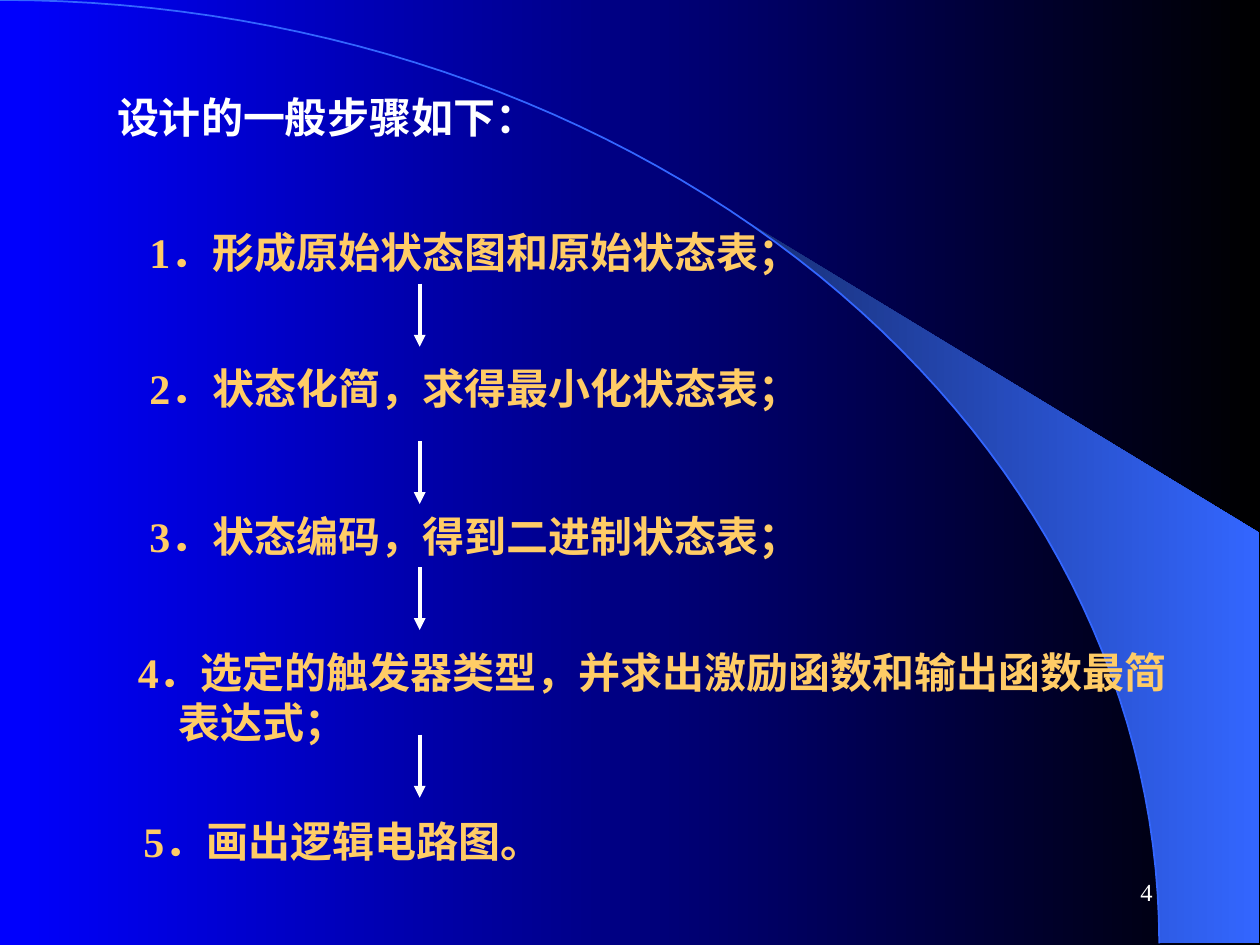
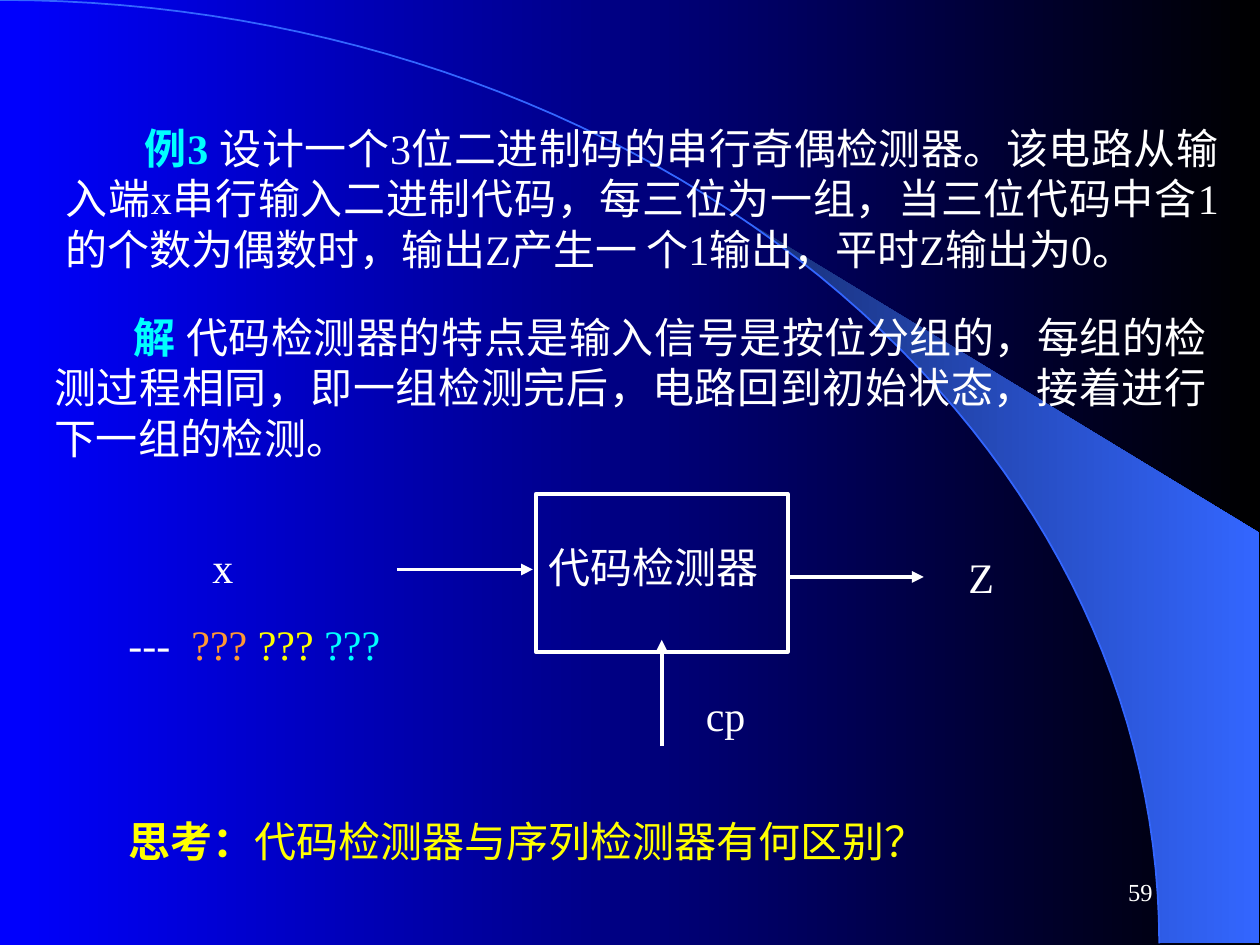
"""Build two lecture slides on the design of sequential logic circuits."""
from dataclasses import dataclass
from math import asin, cos, pi, sin
from typing import NamedTuple

from lxml.etree import SubElement
from pptx import Presentation
from pptx.dml.color import RGBColor
from pptx.dml.fill import FillFormat
from pptx.enum.shapes import MSO_CONNECTOR, MSO_SHAPE
from pptx.enum.text import MSO_ANCHOR, MSO_AUTO_SIZE, PP_ALIGN
from pptx.oxml.ns import qn
from pptx.shapes.freeform import FreeformBuilder
from pptx.slide import Slide
from pptx.text.text import _Paragraph as Paragraph
from pptx.util import Cm, Pt


@dataclass(frozen=True)
class Theme:
    font: str = "Times New Roman"
    body_size: float = 24
    number_size: float = 14
    paragraph_gap: float = 15
    rule_width: float = 2.25
    arc_width: float = 1
    white: str = "FFFFFF"
    black: str = "000000"
    blue: str = "0000FF"
    navy: str = "182F76"
    azure: str = "3366FF"
    gold: str = "FFCC66"
    cyan: str = "00FFFF"
    yellow: str = "FFFF00"
    orange: str = "FF9933"


THEME = Theme()
WIDTH, HEIGHT = 25.4, 19.05
ARC_WIDTH, ARC_HEIGHT = 23.37, 19.02
WEDGE_RIGHT, WEDGE_TOP, WEDGE_LEFT = 25.38, 10.74, 14.96
ARC_STEPS = 60
LINE_HEIGHT = 1.27
STEP_INDENT = 1.69
ARROW_LEFT, ARROW_LENGTH = 8.46, 1.27


class Box(NamedTuple):
    left: float
    top: float
    width: float
    height: float = LINE_HEIGHT


class Span(NamedTuple):
    text: str
    color: str = THEME.white
    bold: bool = False
    size: float = THEME.body_size


class Step(NamedTuple):
    text: str
    box: Box
    first: float = STEP_INDENT
    hanging: float = 0
    wrap: bool = True


class Arrow(NamedTuple):
    x1: float
    y1: float
    x2: float
    y2: float


STEPS = (
    Step("1．形成原始状态图和原始状态表；", Box(1.07, 4.45, 19.48)),
    Step("2．状态化简，求得最小化状态表；", Box(1.07, 7.19, 19.05)),
    Step("3．状态编码，得到二进制状态表；", Box(1.07, 10.16, 16.33)),
    Step("4．选定的触发器类型，并求出激励函数和输出函数最简表达式；",
         Box(0.84, 12.9, 23.75, 2.29), hanging=2.5),
    Step("5．画出逻辑电路图。", Box(2.64, 16.31, 8.74), first=0, wrap=False),
)
STEP_ARROW_TOPS = (5.72, 8.89, 11.43, 14.81)

DETECTOR = Box(10.8, 9.96, 5.08, 3.18)
SIGNAL_ARROWS = (
    Arrow(8, 11.48, 10.74, 11.48),
    Arrow(15.88, 11.63, 18.62, 11.63),
    Arrow(13.34, 15.04, 13.34, 12.9),
)


def rgb(color: str) -> RGBColor:
    return RGBColor.from_string(color)


def shade(fill: FillFormat, start: str, end: str) -> None:
    fill.gradient()
    fill.gradient_angle = 0
    for stop, color in zip(fill.gradient_stops, (start, end)):
        stop.color.rgb = rgb(color)


def arc_points(start: float) -> list[tuple[int, int]]:
    angles = [start + (pi / 2 - start) * i / ARC_STEPS for i in range(ARC_STEPS + 1)]
    return [(Cm(ARC_WIDTH * sin(a)), Cm(ARC_HEIGHT * (1 - cos(a)))) for a in angles]


def trace(page: Slide, points: list[tuple[int, int]], close: bool) -> FreeformBuilder:
    builder = page.shapes.build_freeform(*points[0], scale=1.0)
    builder.add_line_segments(points[1:], close=close)
    return builder


def draw_backdrop(page: Slide) -> None:
    edge = arc_points(asin(WEDGE_LEFT / ARC_WIDTH))
    corners = [(Cm(WEDGE_RIGHT), Cm(y)) for y in (ARC_HEIGHT, WEDGE_TOP)]
    wedge = trace(page, edge + corners, True).convert_to_shape()
    wedge.shadow.inherit = False
    shade(wedge.fill, THEME.navy, THEME.azure)
    wedge.line.fill.background()

    arc = trace(page, arc_points(0), False).convert_to_shape()
    arc.shadow.inherit = False
    arc.fill.background()
    arc.line.color.rgb = rgb(THEME.azure)
    arc.line.width = Pt(THEME.arc_width)


def write_span(para: Paragraph, text: str, *, color: str, bold: bool, size: float) -> None:
    run = para.add_run()
    run.text = text
    run.font.name = THEME.font
    run.font.size = Pt(size)
    run.font.bold = bold
    run.font.color.rgb = rgb(color)


def add_text(page: Slide, box: Box, *lines: list[Span], first: tuple[float, ...] = (0,),
             hanging: float = 0, align: PP_ALIGN = PP_ALIGN.LEFT, wrap: bool = True,
             grow: bool = True, anchor: MSO_ANCHOR = MSO_ANCHOR.TOP, tab: float = 0) -> None:
    frame = page.shapes.add_textbox(*map(Cm, box)).text_frame
    frame.word_wrap = wrap
    frame.auto_size = MSO_AUTO_SIZE.SHAPE_TO_FIT_TEXT if grow else MSO_AUTO_SIZE.NONE
    frame.vertical_anchor = anchor
    for index, (spans, start) in enumerate(zip(lines, first)):
        para = frame.add_paragraph() if index else frame.paragraphs[0]
        para.alignment = align
        if index:
            para.space_before = Pt(THEME.paragraph_gap)
        properties = para._p.get_or_add_pPr()
        properties.set("marL", str(Cm(hanging)))
        properties.set("indent", str(Cm(start - hanging)))
        if tab:
            stops = SubElement(properties, qn("a:tabLst"))
            SubElement(stops, qn("a:tab"), pos=str(Cm(tab)), algn="l")
        for span in spans:
            write_span(para, span.text, color=span.color, bold=span.bold, size=span.size)


def add_arrow(page: Slide, arrow: Arrow) -> None:
    connector = page.shapes.add_connector(MSO_CONNECTOR.STRAIGHT, *map(Cm, arrow))
    connector.line.color.rgb = rgb(THEME.white)
    connector.line.width = Pt(THEME.rule_width)
    SubElement(connector.line._get_or_add_ln(), qn("a:tailEnd"), type="triangle")
    SubElement(connector._element.spPr, qn("a:effectLst"))


def add_page(deck: Presentation, number: str) -> Slide:
    page = deck.slides.add_slide(deck.slide_layouts[6])
    shade(page.background.fill, THEME.blue, THEME.black)
    draw_backdrop(page)
    add_text(page, Box(18.21, 17.35, 5.28), [Span(number, size=THEME.number_size)],
             align=PP_ALIGN.RIGHT, grow=False, anchor=MSO_ANCHOR.MIDDLE)
    return page


def build_steps(deck: Presentation) -> None:
    page = add_page(deck, "4")
    add_text(page, Box(2.11, 1.73, 8.97), [Span("设计的一般步骤如下：", bold=True)], wrap=False)
    for step in STEPS:
        add_text(page, step.box, [Span(step.text, THEME.gold, True)],
                 first=(step.first,), hanging=step.hanging, wrap=step.wrap)
    for top in STEP_ARROW_TOPS:
        add_arrow(page, Arrow(ARROW_LEFT, top, ARROW_LEFT, top + ARROW_LENGTH))


def build_example(deck: Presentation) -> None:
    page = add_page(deck, "59")
    example = [
        Span("例3 ", THEME.cyan, True),
        Span("设计一个3位二进制码的串行奇偶检测器。该电路从输入端x串行输入二进制代码，"
             "每三位为一组，当三位代码中含1的个数为偶数时，输出Z产生一 个1输出，平时Z输出为0。"),
    ]
    solution = [
        Span("解 ", THEME.cyan, True),
        Span("代码检测器的特点是输入信号是按位分组的，每组的检测过程相同，"
             "即一组检测完后，电路回到初始状态，接着进行下一组的检测。"),
    ]
    for spans, box in ((example, Box(1.07, 2.34, 23.75, 4.32)),
                       (solution, Box(0.84, 6.15, 23.75, 3.3))):
        add_text(page, box, spans, first=(1.6,), align=PP_ALIGN.JUSTIFY)

    detector = page.shapes.add_shape(MSO_SHAPE.RECTANGLE, *map(Cm, DETECTOR))
    detector.shadow.inherit = False
    detector.fill.background()
    detector.line.color.rgb = rgb(THEME.white)
    detector.line.width = Pt(THEME.rule_width)
    for arrow in SIGNAL_ARROWS:
        add_arrow(page, arrow)

    bits = [Span("---\t"), Span("??? ", THEME.orange), Span("??? ", THEME.yellow),
            Span("???", THEME.cyan)]
    add_text(page, Box(2.34, 10.8, 5.72, 2.82), [Span("x")], bits,
             first=(STEP_INDENT, 0), tab=1.27)
    for label, box, indent in (("Z", Box(18.85, 11, 1.7), 0.42),
                               ("cp", Box(13.77, 13.77, 1.7), 0.21),
                               ("代码检测器", Box(10.8, 10.8, 5.08), 0)):
        add_text(page, box, [Span(label)], first=(indent,))
    add_text(page, Box(2.34, 16.31, 19.05),
             [Span("思考：", THEME.yellow, True),
              Span("代码检测器与序列检测器有何区别？", THEME.yellow)])


def main() -> None:
    deck = Presentation()
    deck.slide_width, deck.slide_height = Cm(WIDTH), Cm(HEIGHT)
    build_steps(deck)
    build_example(deck)
    deck.save("out.pptx")


if __name__ == "__main__":
    main()
